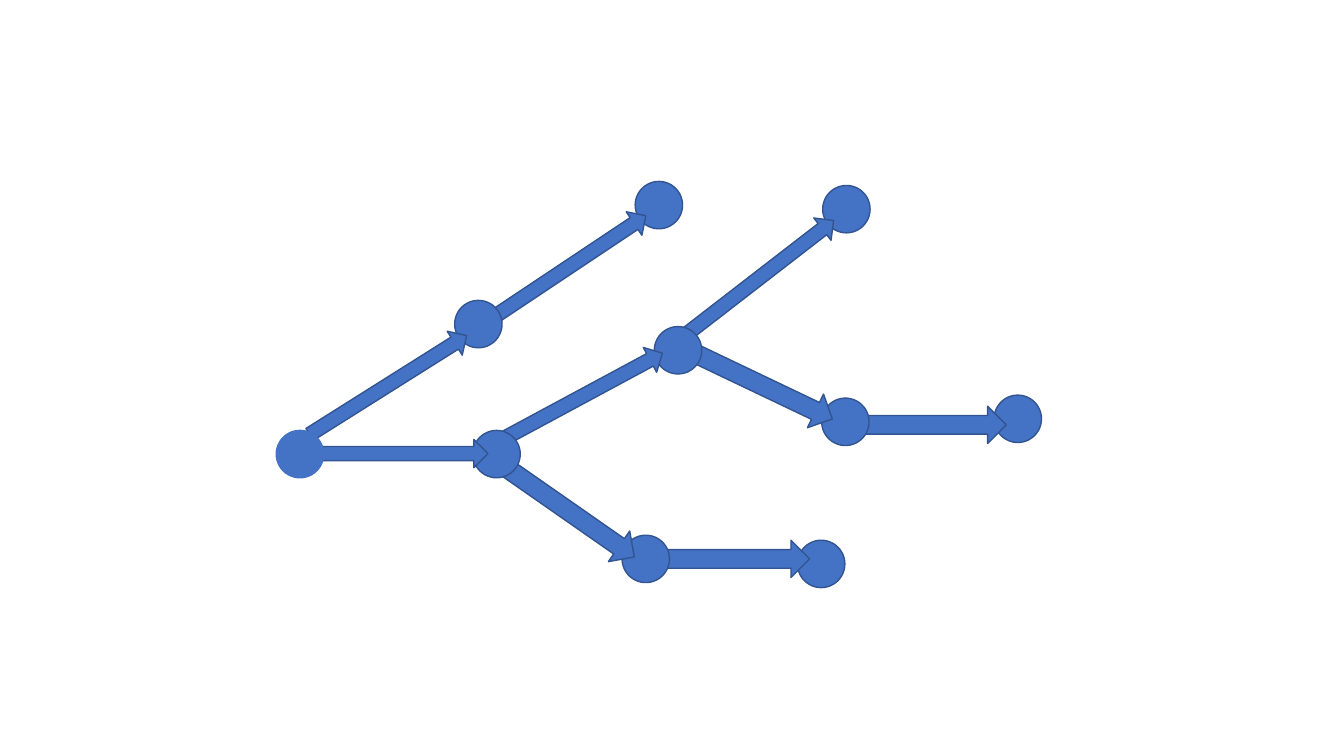
from pptx import Presentation
from pptx.dml.color import RGBColor
from pptx.enum.shapes import MSO_SHAPE as Shape
from pptx.util import Inches, Pt

BLUE = RGBColor(0x44, 0x72, 0xC4)
DARK_BLUE = RGBColor(0x32, 0x54, 0x91)
NODE_SIZE = 0.47
LONG_ARROW = (1.84, 0.28)
SHORT_ARROW = (1.54, 0.37)


def add_filled_shape(page, kind, left, top, size, rotation, line_color):
    width, height = size
    shape = page.shapes.add_shape(
        kind, Inches(left), Inches(top), Inches(width), Inches(height))
    shape.rotation = rotation
    shape.shadow.inherit = False
    shape.fill.solid()
    shape.fill.fore_color.rgb = BLUE
    shape.line.color.rgb = line_color
    shape.line.width = Pt(1)


def add_node(page, left, top, rotation=0, line_color=DARK_BLUE):
    add_filled_shape(page, Shape.OVAL, left, top, (NODE_SIZE, NODE_SIZE),
                     rotation, line_color)


def add_arrow(page, left, top, size, rotation=0):
    add_filled_shape(page, Shape.RIGHT_ARROW, left, top, size, rotation,
                     DARK_BLUE)


def add_upper_branch(page):
    add_node(page, 6.3, 1.8, 346.7)
    add_arrow(page, 4.72, 2.51, LONG_ARROW, 326.3)
    add_node(page, 4.51, 2.98, 337.3)
    add_arrow(page, 2.93, 3.68, LONG_ARROW, 327.8)


def add_end_nodes(page):
    for left, top in ((7.91, 5.36), (9.86, 3.92), (8.16, 1.84)):
        add_node(page, left, top)


def add_middle_branch(page):
    add_arrow(page, 8.44, 4.03, SHORT_ARROW)
    add_node(page, 8.15, 3.95, 333.8)
    add_arrow(page, 6.79, 3.64, SHORT_ARROW, 25.5)
    add_arrow(page, 6.62, 2.61, LONG_ARROW, 322.3)
    add_node(page, 6.49, 3.24, 350.6)


def add_lower_branch(page):
    add_arrow(page, 6.49, 5.36, SHORT_ARROW)
    add_node(page, 6.17, 5.31, 333.8)
    add_arrow(page, 4.89, 4.9, SHORT_ARROW, 34.9)


def add_root(page):
    """Add the root, its fork node and the arrows that leave them."""
    add_arrow(page, 4.84, 3.8, LONG_ARROW, 331.7)
    add_node(page, 4.69, 4.27)
    add_arrow(page, 3, 4.36, LONG_ARROW)
    add_node(page, 2.74, 4.27, line_color=BLUE)


def main():
    deck = Presentation()
    deck.slide_width = Inches(13.33)
    deck.slide_height = Inches(7.5)
    page = deck.slides.add_slide(deck.slide_layouts[6])
    # Later shapes cover earlier ones, so the root comes last.
    add_upper_branch(page)
    add_end_nodes(page)
    add_middle_branch(page)
    add_lower_branch(page)
    add_root(page)
    deck.save("out.pptx")


if __name__ == "__main__":
    main()
